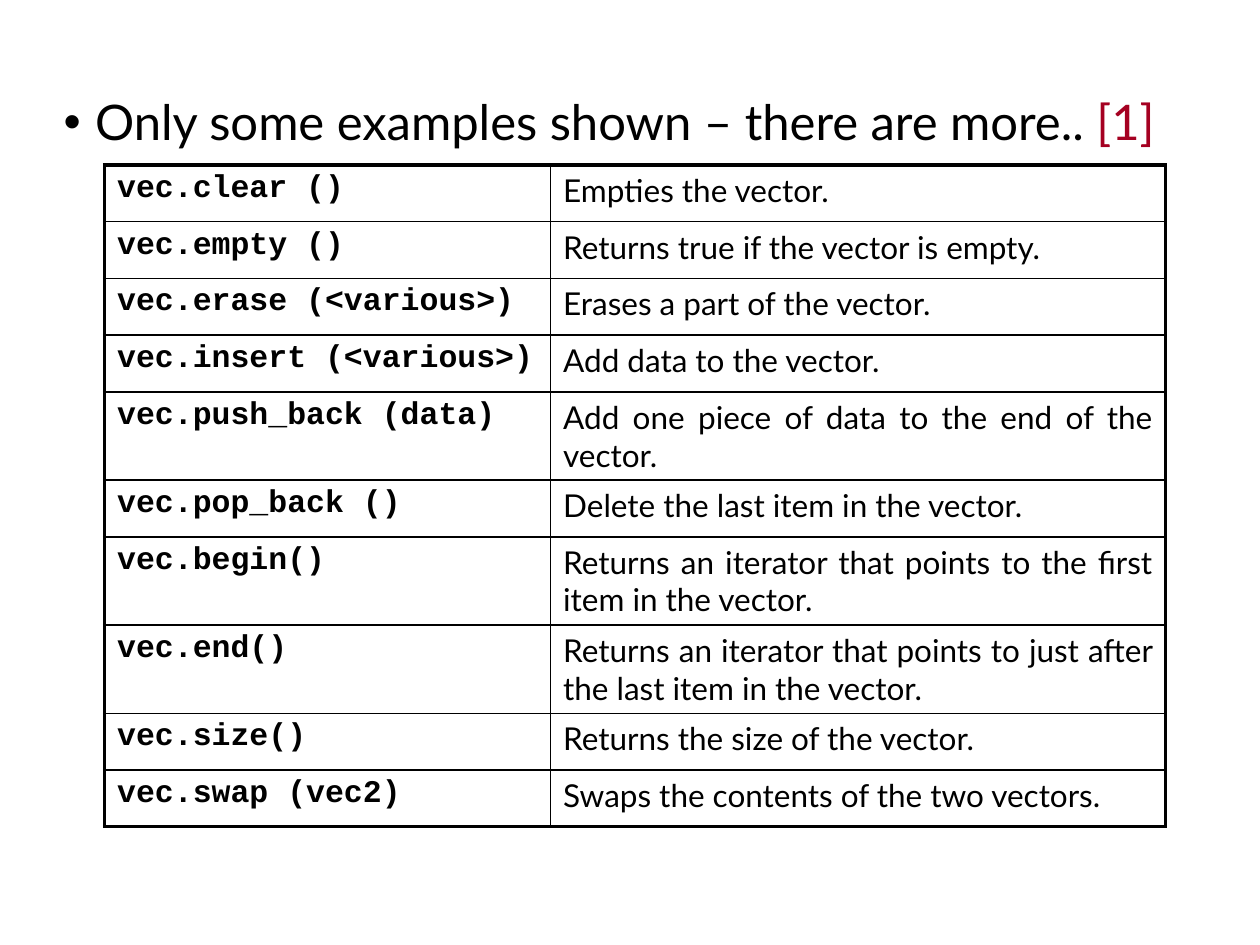
from lxml.etree import SubElement
from pptx import Presentation
from pptx.dml.color import RGBColor
from pptx.enum.text import MSO_AUTO_SIZE, PP_ALIGN
from pptx.oxml.ns import qn
from pptx.util import Inches, Pt

HEADING = [("Only some examples shown – there are more.. ", "heading"), ("[1]", "citation")]
METHODS = [
    ("vec.clear ()", "Empties the vector."),
    ("vec.empty ()", "Returns true if the vector is empty."),
    ("vec.erase (<various>)", "Erases a part of the vector."),
    ("vec.insert (<various>)", "Add data to the vector."),
    ("vec.push_back (data)", "Add one piece of data to the end of the vector."),
    ("vec.pop_back ()", "Delete the last item in the vector."),
    ("vec.begin()", "Returns an iterator that points to the first item in the vector."),
    ("vec.end()", "Returns an iterator that points to just after the last item in the vector."),
    ("vec.size()", "Returns the size of the vector."),
    ("vec.swap (vec2)", "Swaps the contents of the two vectors."),
]

BLACK, RED = "000000", "A50021"
THEME = {
    "heading": {"name": "Lato", "size": Pt(28), "bold": False, "color": BLACK},
    "citation": {"name": "Lato", "size": Pt(28), "bold": False, "color": RED},
    "code": {"name": "Courier New", "size": Pt(18), "bold": True, "color": BLACK},
    "meaning": {"name": "Lato", "size": Pt(18), "bold": False, "color": BLACK},
    "outer": Pt(2.25),
    "inner": Pt(1),
}
COLUMN_WIDTHS = (3.54, 4.88)
ROW_HEIGHT, TALL_ROW_HEIGHT = 0.45, 0.7
LINE_CAPACITY = 46  # characters that fit on one line of the right column


def add_span(para, text, style):
    span = para.add_run()
    span.text = text
    for name, value in THEME[style].items():
        if name == "color":
            span.font.color.rgb = RGBColor.from_string(value)
        else:
            setattr(span.font, name, value)


def set_spacing(para, **percents):
    """Space around a paragraph as a percentage of its type size."""
    properties = para._p.get_or_add_pPr()
    for tag, percent in percents.items():
        spacing = SubElement(properties, qn(f"a:{tag}"))
        SubElement(spacing, qn("a:spcPct"), val=str(percent * 1000))


def add_border(cell, side, width):
    line = SubElement(cell._tc.get_or_add_tcPr(), qn(f"a:ln{side}"), w=str(width))
    fill = SubElement(line, qn("a:solidFill"))
    SubElement(fill, qn("a:srgbClr"), val=BLACK)


def add_heading(page):
    box = page.shapes.add_textbox(Inches(0.36), Inches(0.68), Inches(8.95), Inches(0.57))
    frame = box.text_frame
    frame.word_wrap = False
    frame.auto_size = MSO_AUTO_SIZE.SHAPE_TO_FIT_TEXT
    para = frame.paragraphs[0]
    para.alignment = PP_ALIGN.CENTER
    set_spacing(para, spcBef=20)
    properties = para._p.get_or_add_pPr()
    properties.set("marL", str(Inches(0.25)))
    properties.set("indent", str(-Inches(0.25)))
    SubElement(properties, qn("a:buFont"), typeface="Arial")
    SubElement(properties, qn("a:buChar"), char="•")
    for text, style in HEADING:
        add_span(para, text, style)


def add_method_table(page):
    heights = [TALL_ROW_HEIGHT if len(meaning) > LINE_CAPACITY else ROW_HEIGHT
               for _, meaning in METHODS]
    table = page.shapes.add_table(
        len(METHODS), len(COLUMN_WIDTHS), Inches(0.83), Inches(1.31),
        Inches(sum(COLUMN_WIDTHS)), Inches(sum(heights))).table
    table.first_row = table.horz_banding = False
    for column, width in zip(table.columns, COLUMN_WIDTHS):
        column.width = Inches(width)
    last_row = len(METHODS) - 1
    for r, (texts, height) in enumerate(zip(METHODS, heights)):
        table.rows[r].height = Inches(height)
        for c, (text, style) in enumerate(zip(texts, ("code", "meaning"))):
            cell = table.cell(r, c)
            on_edge = {"L": c == 0, "R": c == 1, "T": r == 0, "B": r == last_row}
            for side, outer in on_edge.items():
                add_border(cell, side, THEME["outer" if outer else "inner"])
            cell.fill.background()
            para = cell.text_frame.paragraphs[0]
            para.alignment = PP_ALIGN.JUSTIFY
            set_spacing(para, spcBef=20, spcAft=10)
            add_span(para, text, style)


def main():
    deck = Presentation()
    deck.slide_width, deck.slide_height = Inches(10), Inches(7.5)
    page = deck.slides.add_slide(deck.slide_layouts[6])
    add_method_table(page)
    add_heading(page)
    deck.save("out.pptx")


if __name__ == "__main__":
    main()
